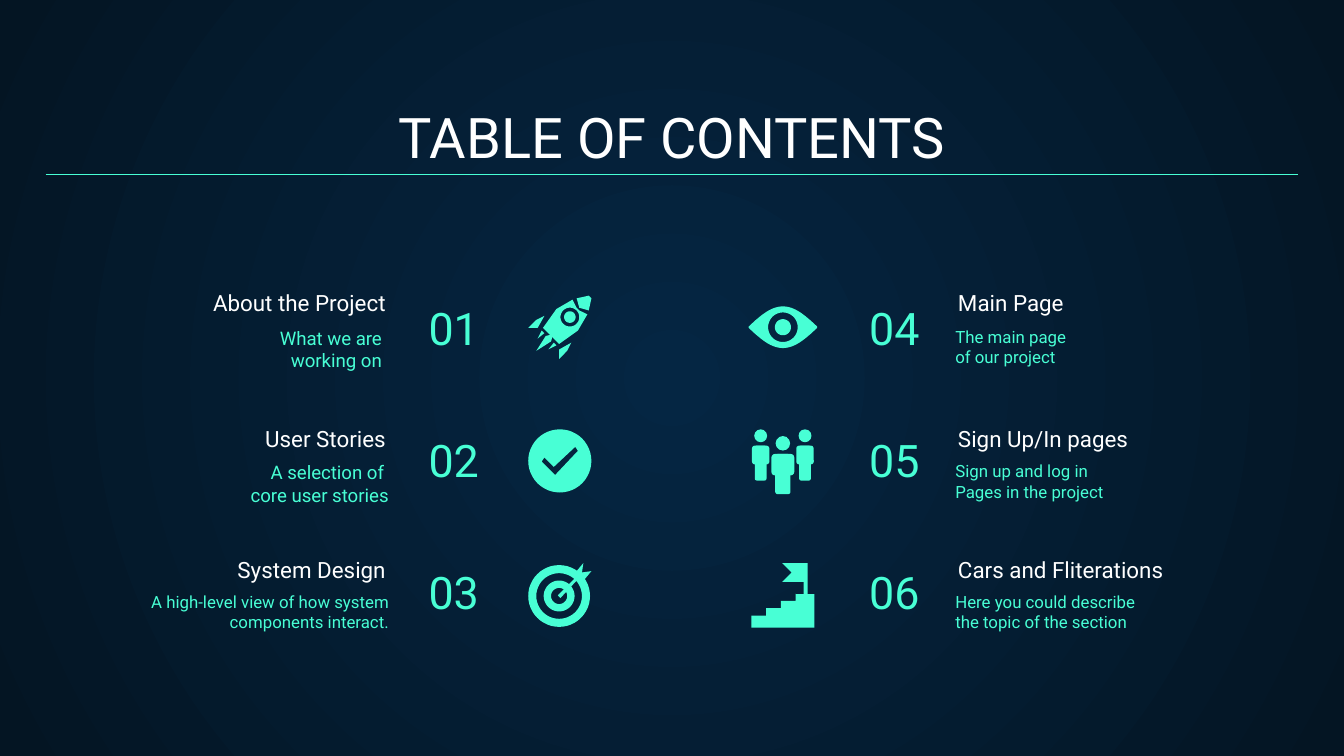
from math import cos, pi, sin
from lxml.etree import SubElement
from pptx import Presentation
from pptx.dml.color import RGBColor
from pptx.enum.shapes import MSO_CONNECTOR, MSO_SHAPE
from pptx.enum.text import MSO_ANCHOR, MSO_AUTO_SIZE, PP_ALIGN
from pptx.oxml.ns import qn
from pptx.util import Pt

COLORS = {"center": "052643", "edge": "041523", "accent": "48FFD5", "white": "FFFFFF"}
FONT = "Roboto"
UNIT = 0.72
SIZE = 47


def circle(cx, cy, r, n=48):
    return [(cx + r * cos(2 * pi * i / n), cy + r * sin(2 * pi * i / n)) for i in range(n)]


def flip(points):
    return [(SIZE - y, SIZE - x) for x, y in reversed(points)]


def symmetric(half):
    return [half + flip(half)]


def rocket():
    fin = [(12, 15), (6, 18), (0, 24), (7, 24)]
    spark = [(10, 26), (7, 32), (12, 28)]
    body = symmetric([(14, 27), (11, 24), (21, 10), (33, 3), (36, 9)])
    nose = symmetric([(38, 9), (36, 2), (45, 0)])
    flame = symmetric([(17, 29), (13, 30), (6, 41)])
    return [body + [circle(31, 16, 7)], [circle(31, 16, 4.3)], nose, flame,
            [fin], [flip(fin)], [spark], [flip(spark)]]


def check():
    tick = [(35, 13), (37, 16), (20, 34), (10, 24), (12, 21), (19, 28)]
    return [[circle(SIZE / 2, SIZE / 2, SIZE / 2), tick]]


def target():
    arrow = [(22, 24), (36, 10), (36, 6), (41, 0), (40, 7), (47, 6), (42, 12), (37, 12), (24, 26)]
    return [[circle(23, 24.5, r) for r in (23, 17, 11.5, 6)], [arrow]]


def eye():
    upper = [(x, 23.5 - 15.5 * sin(pi * (x + 2.5) / 52)) for x in range(-2, 50)]
    lower = [(x, SIZE - y) for x, y in reversed(upper)]
    return [[upper + lower, circle(23.5, 23.5, 11), circle(23.5, 23.5, 6)]]


def person(cx, top, head, width, torso, legs):
    body = top + 2 * head + 2.5
    return [(MSO_SHAPE.OVAL, cx - head, top, 2 * head, 2 * head),
            (MSO_SHAPE.ROUNDED_RECTANGLE, cx - width / 2, body, width, torso),
            (MSO_SHAPE.ROUNDED_RECTANGLE, cx - width / 3, body, width * 2 / 3, legs)]


def people():
    sides = [part for cx in (7, 40) for part in person(cx, 0, 4.8, 13, 14, 26)]
    return sides + person(23.5, 5, 5.4, 17, 16, 30)


def stairs():
    steps = [(11 * (i + j), 39 - 5.5 * i) for i in range(4) for j in (0, 1)]
    flag = [(42, 0), (23, 0), (30, 7), (23, 14), (39, 14), (39, 23)]
    return [[steps[:-1] + [(33, 23)] + flag[::-1] + [(42, 23), (SIZE, 23), (SIZE, 48), (0, 48)]]]


LEFT = [
    ("About the Project", "What we are\nworking on", 10, rocket),
    ("User Stories", "A selection of \ncore user stories", 10, check),
    ("System Design", "A high-level view of how system components interact.", 9, target),
]
RIGHT = [
    ("Main Page", "The main page\vof our project", 9, eye),
    ("Sign Up/In pages", "Sign up and log in\nPages in the project", 9, people),
    ("Cars and Fliterations", "Here you could describe\nthe topic of the section", 9, stairs),
]
COLUMNS = [
    (LEFT, 50.4, [53.28, 56.88, 56.88], 222.48, 283, PP_ALIGN.RIGHT, PP_ALIGN.LEFT),
    (RIGHT, 506.16, [504.72] * 3, 406.8, 402.5, PP_ALIGN.LEFT, PP_ALIGN.RIGHT),
]
HEADING_TOPS = [161.28, 234, 304.56]
DETAIL_TOPS = [167.8, 239.76, 309.6]
NUMBER_TOP, NUMBER_STEP = 149.76, 70.56
ICON_TOP, ICON_STEP = 158.4, 71.64


def rgb(name):
    return RGBColor.from_string(COLORS[name])


def write(sp, box, text, size, color, align, anchor):
    sp.left, sp.top, sp.width, sp.height = map(Pt, box)
    tf = sp.text_frame
    tf.text = text
    tf.word_wrap = True
    tf.auto_size = MSO_AUTO_SIZE.NONE
    tf.vertical_anchor = anchor
    tf.margin_left = tf.margin_right = tf.margin_top = tf.margin_bottom = Pt(7.2)
    for p in tf.paragraphs:
        p.alignment = align
        for r in p.runs:
            r.font.name, r.font.size = FONT, Pt(size)
            r.font.color.rgb = rgb(color)


def add_text(s, box, *style):
    write(s.shapes.add_textbox(*map(Pt, box)), box, *style)


def add_outline(shapes, contours, left, top):
    first, *holes = [[(x * 100, y * 100) for x, y in c] for c in contours]
    fb = shapes.build_freeform(*first[0], scale=Pt(UNIT) / 100)
    fb.add_line_segments(first[1:])
    for hole in holes:
        fb.move_to(*hole[0])
        fb.add_line_segments(hole[1:])
    return fb.convert_to_shape(Pt(left), Pt(top))


def add_icon(s, parts, left, top):
    shapes = s.shapes.add_group_shape().shapes if len(parts) > 1 else s.shapes
    for part in parts:
        if isinstance(part, tuple):
            kind, x, y, w, h = part
            box = (left + x * UNIT, top + y * UNIT, w * UNIT, h * UNIT)
            sp = shapes.add_shape(kind, *map(Pt, box))
        else:
            sp = add_outline(shapes, part, left, top)
        sp.shadow.inherit = False
        sp.fill.solid()
        sp.fill.fore_color.rgb = rgb("accent")
        sp.line.fill.background()


def set_background(s):
    fill = s.background.fill
    fill.gradient()
    for stop, name in zip(fill.gradient_stops, ("center", "edge")):
        stop.color.rgb = rgb(name)
    grad = s.element.find(".//" + qn("a:gradFill"))
    grad.remove(grad.find(qn("a:lin")))
    radial = SubElement(grad, qn("a:path"), {"path": "circle"})
    SubElement(radial, qn("a:fillToRect"), {side: "50000" for side in "ltrb"})


def main():
    prs = Presentation()
    prs.slide_width, prs.slide_height = Pt(720), Pt(405)
    s = prs.slides.add_slide(prs.slide_layouts[5])
    set_background(s)
    write(s.shapes.title, (24.48, 50.4, 671.04, 47.52), "TABLE OF CONTENTS", 30, "white",
          PP_ALIGN.CENTER, MSO_ANCHOR.BOTTOM)
    number = 0
    for items, heading_x, detail_xs, number_x, icon_x, align, number_align in COLUMNS:
        for row, (heading, detail, size, icon) in enumerate(items):
            number += 1
            add_text(s, (detail_xs[row], DETAIL_TOPS[row], 158.4, 39.6), detail, size, "accent",
                     align, MSO_ANCHOR.TOP)
            add_text(s, (number_x, NUMBER_TOP + row * NUMBER_STEP, 92.88, 47.52), f"{number:02}",
                     24, "accent", number_align, MSO_ANCHOR.BOTTOM)
            add_text(s, (heading_x, HEADING_TOPS[row], 163.44, 15.12), heading, 12, "white",
                     align, MSO_ANCHOR.BOTTOM)
            add_icon(s, icon(), icon_x, ICON_TOP + row * ICON_STEP)
    rule = s.shapes.add_connector(MSO_CONNECTOR.STRAIGHT, Pt(24.48), Pt(93.6), Pt(695.52), Pt(93.6))
    rule.line.color.rgb = rgb("accent")
    rule.line.width = Pt(0.75)
    SubElement(rule.element.spPr, qn("a:effectLst"))
    prs.save("out.pptx")


if __name__ == "__main__":
    main()
